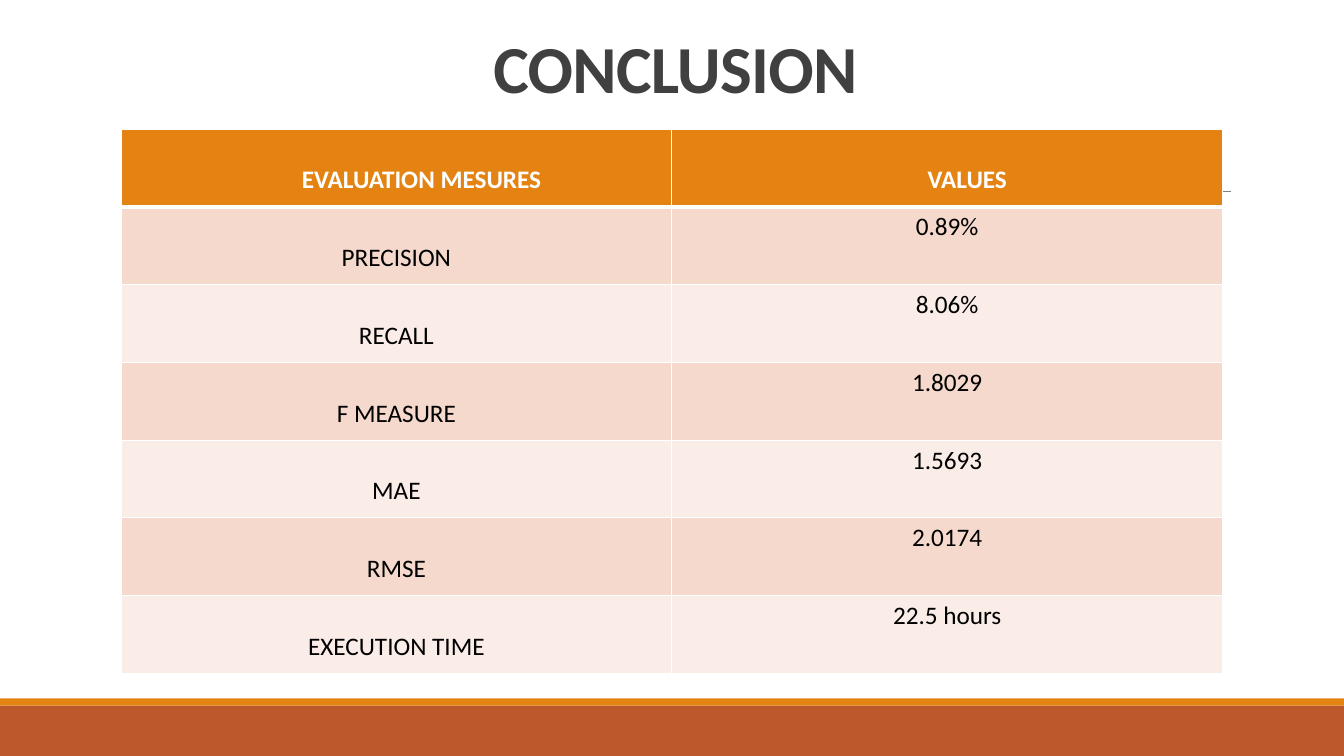
import dataclasses
import typing

import pptx
import pptx.dml.color
import pptx.enum.shapes
import pptx.enum.text
import pptx.oxml
import pptx.oxml.ns
import pptx.util

Cm = pptx.util.Cm
Pt = pptx.util.Pt
RGB = pptx.dml.color.RGBColor.from_string
ALIGN = pptx.enum.text.PP_ALIGN
ANCHOR = pptx.enum.text.MSO_ANCHOR


@dataclasses.dataclass(frozen=True)
class Theme:
    face: str = "Calibri"
    title: int = 48
    body: int = 18
    dark: str = "404040"
    rule: str = "808080"
    rust: str = "BD582C"
    amber: str = "E48312"
    white: str = "FFFFFF"
    black: str = "000000"
    bands: tuple[str, str] = ("F5D9CC", "FAEDE7")


@dataclasses.dataclass(frozen=True)
class Bar:
    top: float
    height: float
    color: str


@dataclasses.dataclass(frozen=True)
class Row:
    label: str
    value: str


THEME = Theme()
WIDTH, HEIGHT = 33.87, 19.05
BARS = [Bar(17.78, 1.27, THEME.rust), Bar(17.6, 0.18, THEME.amber)]
ROWS = [
    Row("EVALUATION MESURES", "VALUES"),
    Row("PRECISION", "0.89%"),
    Row("RECALL", "8.06%"),
    Row("F MEASURE", "1.8029"),
    Row("MAE", "1.5693"),
    Row("RMSE", "2.0174"),
    Row("EXECUTION TIME", "22.5 hours"),
]
INDENTS = (1.52, 1.27)  # left margins that shift the two headings
COL, LINE = 13.88, 1.96


def apply(item: typing.Any, form: dict[str, typing.Any]) -> None:
    for name, value in form.items():
        setattr(item, name, value)


def style(para: typing.Any, size: int, color: str, bold: bool) -> None:
    para.alignment = ALIGN.CENTER
    for run in para.runs:
        apply(run.font, {"name": THEME.face, "size": Pt(size), "bold": bold})
        run.font.color.rgb = RGB(color)


def draw_bar(slide: typing.Any, bar: Bar) -> None:
    shape = slide.shapes.add_shape(
        pptx.enum.shapes.MSO_SHAPE.RECTANGLE,
        Cm(0), Cm(bar.top), Cm(WIDTH), Cm(bar.height))
    shape.shadow.inherit = False
    shape.fill.solid()
    shape.fill.fore_color.rgb = RGB(bar.color)
    shape.line.fill.background()


def draw_rule(slide: typing.Any) -> None:
    rule = slide.shapes.add_connector(
        pptx.enum.shapes.MSO_CONNECTOR.STRAIGHT,
        Cm(3.33), Cm(4.83), Cm(31.01), Cm(4.83))
    rule.line.color.rgb = RGB(THEME.rule)
    rule.line.width = Pt(0.5)
    props = rule._element.spPr
    props.append(props.makeelement(pptx.oxml.ns.qn("a:effectLst"), {}))


def draw_title(slide: typing.Any, text: str) -> None:
    title = slide.shapes.title
    apply(title, {"left": Cm(3.05), "top": Cm(0.79),
                  "width": Cm(27.94), "height": Cm(2.03)})
    frame = title.text_frame
    frame.text = text
    apply(frame, {"vertical_anchor": ANCHOR.BOTTOM, "word_wrap": True,
                  "auto_size": pptx.enum.text.MSO_AUTO_SIZE.NONE})
    para = frame.paragraphs[0]
    para.line_spacing = 0.85
    style(para, THEME.title, THEME.dark, True)
    para.runs[0].font._element.set("spc", "-50")


def edge(cell: typing.Any, base: float) -> None:
    props = cell._tc.get_or_add_tcPr()
    widths = {"lnL": 1, "lnR": 1, "lnT": 1, "lnB": base}
    for spot, (tag, width) in enumerate(widths.items()):
        props.insert(spot, pptx.oxml.parse_xml(
            f'<a:{tag} {pptx.oxml.ns.nsdecls("a")} w="{Pt(width)}">'
            f'<a:solidFill><a:srgbClr val="{THEME.white}"/></a:solidFill>'
            f'</a:{tag}>'))


def draw_cell(cell: typing.Any, text: str, row: int, col: int) -> None:
    head = row == 0
    cell.text = text
    para = cell.text_frame.paragraphs[0]
    if head or col == 0:
        para.line_spacing = 2.0
    if head:
        cell.margin_left = Cm(INDENTS[col])
    style(para, THEME.body, THEME.white if head else THEME.black, head)
    cell.fill.solid()
    color = THEME.amber if head else THEME.bands[(row - 1) % 2]
    cell.fill.fore_color.rgb = RGB(color)
    edge(cell, 3 if head else 1)


def draw_table(slide: typing.Any, rows: list[Row]) -> None:
    table = slide.shapes.add_table(
        len(rows), 2, Cm(3.05), Cm(3.25),
        Cm(2 * COL), Cm(len(rows) * LINE)).table
    apply(table, {"first_row": False, "horz_banding": False})
    for column in table.columns:
        column.width = Cm(COL)
    for i, row in enumerate(rows):
        table.rows[i].height = Cm(LINE)
        for j, text in enumerate((row.label, row.value)):
            draw_cell(table.cell(i, j), text, i, j)


def main() -> None:
    deck = pptx.Presentation()
    apply(deck, {"slide_width": Cm(WIDTH), "slide_height": Cm(HEIGHT)})
    slide = deck.slides.add_slide(deck.slide_layouts.get_by_name("Title Only"))

    # Footer bars and rule
    for bar in BARS:
        draw_bar(slide, bar)
    draw_rule(slide)

    # Title and results
    draw_title(slide, "CONCLUSION")
    draw_table(slide, ROWS)
    deck.save("out.pptx")


if __name__ == "__main__":
    main()
